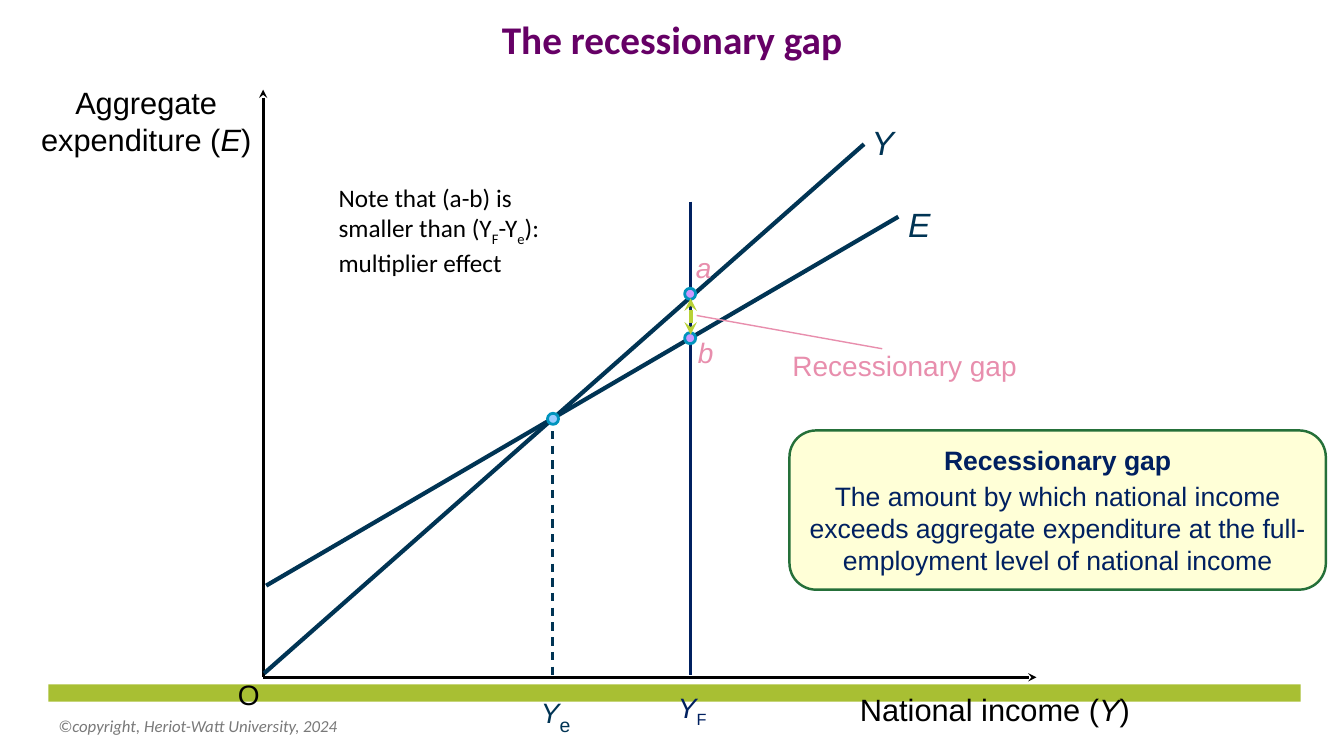
"""Build a slide that explains the recessionary gap with an expenditure diagram."""
import pptx
import pptx.util
import pptx.dml.color
import pptx.enum.dml
import pptx.enum.shapes
import pptx.enum.text
import pptx.oxml
import pptx.oxml.ns
from lxml import etree

Inches = pptx.util.Inches
Pt = pptx.util.Pt
RGBColor = pptx.dml.color.RGBColor
SHAPE = pptx.enum.shapes.MSO_SHAPE
ANCHOR = pptx.enum.text.MSO_ANCHOR
ALIGN = pptx.enum.text.PP_ALIGN

COLORS = {
    "black": "000000", "bar": "A8BF33", "grey": "797979", "curve": "003454",
    "navy": "002060", "pink": "E88EAD", "gap": "B8D137", "ring": "0094BD",
    "equilibrium": "99CCFF", "full": "CC99FF", "cream": "FFFFD7",
    "green": "257039", "purple": "660066",
}


def write_text(shape, paragraphs, size, color="black", font="Arial", align=ALIGN.LEFT,
               anchor=ANCHOR.TOP, wrap=False, space_after=0):
    """Fill a shape with paragraphs of (text, style) runs: b bold, i italic, s subscript."""
    frame = shape.text_frame
    frame.word_wrap = wrap
    frame.vertical_anchor = anchor
    for side in ("left", "right"):
        setattr(frame, f"margin_{side}", Inches(0.1))
    for side in ("top", "bottom"):
        setattr(frame, f"margin_{side}", Inches(0.05))
    for index, runs in enumerate(paragraphs):
        paragraph = frame.add_paragraph() if index else frame.paragraphs[0]
        paragraph.alignment = align
        paragraph.space_before = Pt(0)
        paragraph.space_after = Pt(space_after if index < len(paragraphs) - 1 else 0)
        for text, style in runs:
            run = paragraph.add_run()
            run.text = text
            run.font.size = Pt(size)
            run.font.name = font
            run.font.bold = "b" in style
            run.font.italic = "i" in style
            run.font.color.rgb = RGBColor.from_string(COLORS[color])
            if "s" in style:
                run.font._element.set("baseline", "-25000")


def draw_line(start, end, color, width, arrows=(), dashed=False):
    """Draw a straight line with optional headEnd and tailEnd arrows."""
    line = slide.shapes.add_connector(
        pptx.enum.shapes.MSO_CONNECTOR.STRAIGHT, *map(Inches, start + end))
    line.line.color.rgb = RGBColor.from_string(COLORS[color])
    line.line.width = Pt(width)
    if dashed:
        line.line.dash_style = pptx.enum.dml.MSO_LINE.DASH
    for arrow in arrows:
        etree.SubElement(line.line._get_or_add_ln(), pptx.oxml.ns.qn(f"a:{arrow}"), type="stealth")
    etree.SubElement(line._element.spPr, pptx.oxml.ns.qn("a:effectLst"))


presentation = pptx.Presentation()
presentation.slide_width = Inches(13.33)
presentation.slide_height = Inches(7.5)
slide = presentation.slides.add_slide(presentation.slide_layouts[5])

title = slide.shapes.title
title.left, title.top, title.width, title.height = map(Inches, (0, -0.03, 13.33, 0.7))
write_text(title, [[("The recessionary gap", "b")]], 28, "purple", "Calibri",
           ALIGN.CENTER, ANCHOR.BOTTOM, wrap=True)
title_shadow = pptx.oxml.parse_xml(
    f'<a:effectLst {pptx.oxml.ns.nsdecls("a")}><a:outerShdw blurRad="38100" dist="38100" '
    'dir="2700000"><a:srgbClr val="000000"/></a:outerShdw></a:effectLst>')
title.text_frame.paragraphs[0].runs[0].font._element.insert(1, title_shadow)

bar = slide.shapes.add_shape(SHAPE.RECTANGLE, *map(Inches, (0.48, 6.79, 12.42, 0.17)))
bar.shadow.inherit = False
bar.fill.solid()
bar.fill.fore_color.rgb = RGBColor.from_string(COLORS["bar"])
bar.line.fill.background()

origin = (2.61, 6.72)
draw_line((2.61, 0.89), origin, "black", 2, ["headEnd"])
draw_line(origin, (10.28, 6.72), "black", 2, ["tailEnd"])
draw_line((5.48, 4.13), (5.48, 6.72), "curve", 1.5, dashed=True)
draw_line((6.85, 2), (6.85, 6.7), "navy", 2.25)
draw_line((2.62, 6.68), (8.57, 1.43), "curve", 3)
draw_line((2.64, 5.81), (8.91, 2.15), "curve", 3)

for left, top, color in [(5.43, 4.1, "equilibrium"), (6.79, 2.86, "full"), (6.79, 3.3, "full")]:
    point = slide.shapes.add_shape(SHAPE.OVAL, *map(Inches, (left, top, 0.11, 0.11)))
    point.shadow.inherit = False
    point.fill.solid()
    point.fill.fore_color.rgb = RGBColor.from_string(COLORS[color])
    point.line.color.rgb = RGBColor.from_string(COLORS["ring"])
    point.line.width = Pt(2)

draw_line((6.85, 2.96), (6.85, 3.32), "gap", 3, ["headEnd", "tailEnd"])
draw_line((6.91, 3.13), (8.75, 3.46), "pink", 1)

center = {"align": ALIGN.CENTER}
labels = [
    ((2.26, 6.67, 0.42, 0.44), [[("O", "")]], 20, {}),
    ((5.25, 6.8, 0.52, 0.44), [[("Y", "i"), ("e", "s")]], 20, {"color": "curve", **center}),
    ((6.61, 6.8, 0.51, 0.44), [[("Y", "i"), ("F", "s")]], 20, {"color": "navy", **center}),
    ((8.54, 1.16, 0.43, 0.51), [[("Y", "i")]], 24, {"color": "curve", **center}),
    ((8.91, 1.97, 0.43, 0.51), [[("E", "i")]], 24, {"color": "curve"}),
    ((6.8, 2.44, 0.36, 0.44), [[("a", "i")]], 20, {"color": "pink", **center}),
    ((6.82, 3.28, 0.36, 0.44), [[("b", "i")]], 20, {"color": "pink", **center}),
    ((7.76, 3.41, 2.45, 0.44), [[("Recessionary gap", "")]], 20, {"color": "pink"}),
    ((8.43, 6.8, 2.92, 0.47), [[("National income (", ""), ("Y", "i"), (")", "")]], 22, {}),
    ((0.29, 0.78, 2.32, 0.84),
     [[("Aggregate", "")], [("expenditure (", ""), ("E", "i"), (")", "")]], 22, center),
    ((3.26, 1.76, 2.32, 1.01),
     [[("Note that (a-b) is smaller than (Y", ""), ("F", "s"), ("-Y", ""), ("e", "s"),
       ("): multiplier effect", "")]], 18, {"font": "Calibri", "wrap": True}),
    ((0.48, 7, 4.5, 0.4), [[("©copyright, Heriot-Watt University, 2024", "i")]], 12,
     {"color": "grey", "font": "Calibri", "anchor": ANCHOR.MIDDLE, "wrap": True}),
]
for place, paragraphs, size, text_format in labels:
    label = slide.shapes.add_textbox(*map(Inches, place))
    write_text(label, paragraphs, size, **text_format)
    if paragraphs[0][-1] == ("e", "s"):
        label.text_frame.paragraphs[0].runs[-1].font.size = Pt(24)

definition = slide.shapes.add_shape(
    SHAPE.ROUNDED_RECTANGLE, *map(Inches, (7.83, 4.27, 5.32, 1.58)))
definition.shadow.inherit = False
definition.adjustments[0] = 0.167
definition.fill.solid()
definition.fill.fore_color.rgb = RGBColor.from_string(COLORS["cream"])
definition.line.color.rgb = RGBColor.from_string(COLORS["green"])
definition.line.width = Pt(1.75)
write_text(definition, [
    [("Recessionary gap", "b")],
    [("The amount by which national income exceeds aggregate expenditure "
      "at the full-employment level of national income", "")],
], 19, "navy", align=ALIGN.CENTER, anchor=ANCHOR.MIDDLE, wrap=True, space_after=3)

presentation.save("out.pptx")
